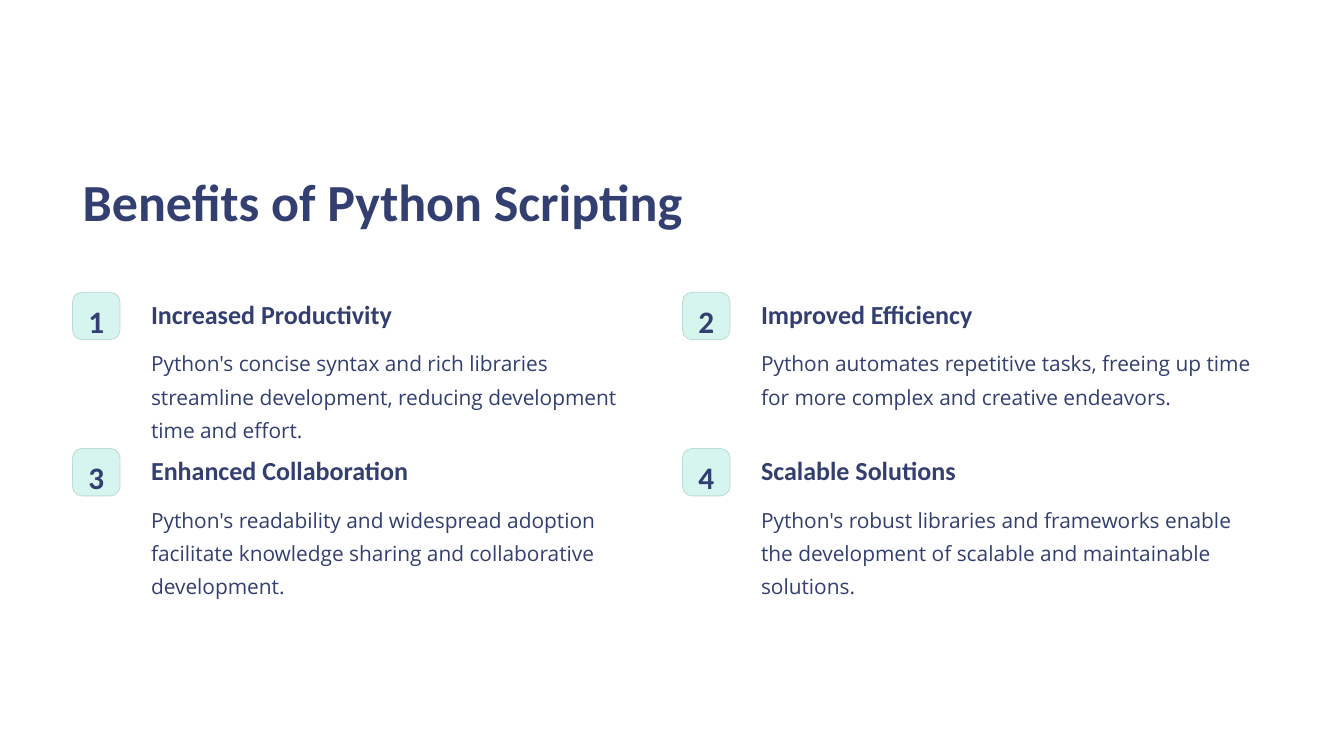
from dataclasses import dataclass

from pptx import Presentation
from pptx import util as u
from pptx.dml.color import RGBColor
from pptx.enum import shapes, text

PX = 9144  # EMU per px, 100 px to the inch


@dataclass(frozen=True)
class Theme:
    paper: str = "FFFFFF"
    ink: str = "333F70"
    badge: str = "D6F5EE"
    badge_line: str = "BCDBD4"
    head_font: str = "Calibri"
    body_font: str = "Open Sans"
    # (type size, line height) in points
    title: tuple = (37.2, 46.5)
    number: tuple = (22.3, 22.3)
    heading: tuple = (18.6, 23.3)
    body: tuple = (14.9, 23.8)


class Deck:
    def __init__(self, theme):
        self.theme = theme
        self.prs = Presentation()
        self.prs.slide_width, self.prs.slide_height = 1333 * PX, 750 * PX
        self.s = self.prs.slides.add_slide(self.prs.slide_layouts[5])
        self.fill(self.s.background.fill, theme.paper)

    @staticmethod
    def fill(fill, color):
        fill.solid()
        fill.fore_color.rgb = RGBColor.from_string(color)

    def set_text(self, sp, words, style, bold=True, align=text.PP_ALIGN.LEFT):
        size, line_height = style
        tf = sp.text_frame
        tf.text = words
        tf.word_wrap = True
        tf.auto_size = text.MSO_AUTO_SIZE.NONE
        tf.vertical_anchor = text.MSO_ANCHOR.TOP
        p = tf.paragraphs[0]
        p.alignment = align
        p.line_spacing = u.Pt(line_height)
        p.space_before = u.Pt(0)
        font = p.runs[0].font
        font.name = self.theme.head_font if bold else self.theme.body_font
        font.size, font.bold = u.Pt(size), bold
        font.color.rgb = RGBColor.from_string(self.theme.ink)

    def title(self, words, x, y, w, h):
        sp = self.s.shapes.title
        sp.left, sp.top, sp.width, sp.height = (v * PX for v in (x, y, w, h))
        self.set_text(sp, words, self.theme.title)

    def text(self, words, x, y, w, h, style, bold=True):
        sp = self.s.shapes.add_textbox(x * PX, y * PX, w * PX, h * PX)
        self.set_text(sp, words, style, bold)

    def badge(self, number, x, y, side=47):
        sp = self.s.shapes.add_shape(shapes.MSO_SHAPE.ROUNDED_RECTANGLE,
                                     x * PX, y * PX, side * PX, side * PX)
        sp.adjustments[0] = 0.2
        sp.shadow.inherit = False
        self.fill(sp.fill, self.theme.badge)
        self.fill(sp.line.fill, self.theme.badge_line)
        sp.line.width = u.Pt(0.6)
        self.set_text(sp, str(number), self.theme.number,
                      align=text.PP_ALIGN.CENTER)
        tf = sp.text_frame
        tf.margin_left = tf.margin_right = tf.margin_bottom = 0
        tf.margin_top = 13 * PX

    def benefit(self, number, heading, body, x, y):
        self.badge(number, x, y)
        self.text(heading, x + 68, y, 392, 32, self.theme.heading)
        self.text(body, x + 68, y + 45, 517, 99, self.theme.body, bold=False)


BENEFITS = [
    ("Increased Productivity",
     "Python's concise syntax and rich libraries streamline development, "
     "reducing development time and effort."),
    ("Improved Efficiency",
     "Python automates repetitive tasks, freeing up time for more complex "
     "and creative endeavors."),
    ("Enhanced Collaboration",
     "Python's readability and widespread adoption facilitate knowledge "
     "sharing and collaborative development."),
    ("Scalable Solutions",
     "Python's robust libraries and frameworks enable the development of "
     "scalable and maintainable solutions."),
]


def main():
    deck = Deck(Theme())
    deck.title("Benefits of Python Scripting", 72, 161, 920, 65)
    for i, (heading, body) in enumerate(BENEFITS):
        row, col = divmod(i, 2)
        deck.benefit(i + 1, heading, body, 72 + 605 * col, 290 + 155 * row)
    deck.prs.save("out.pptx")


if __name__ == "__main__":
    main()
